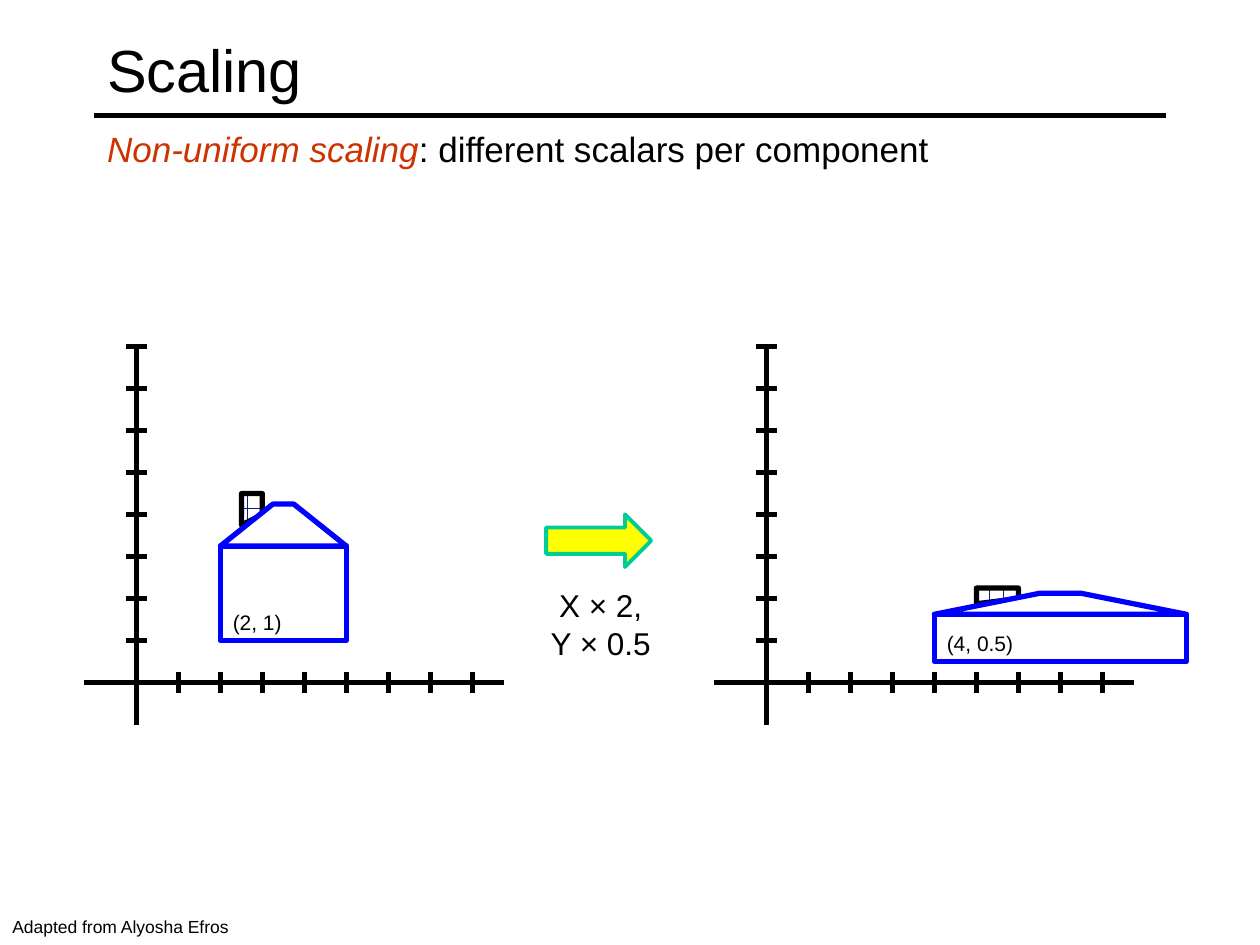
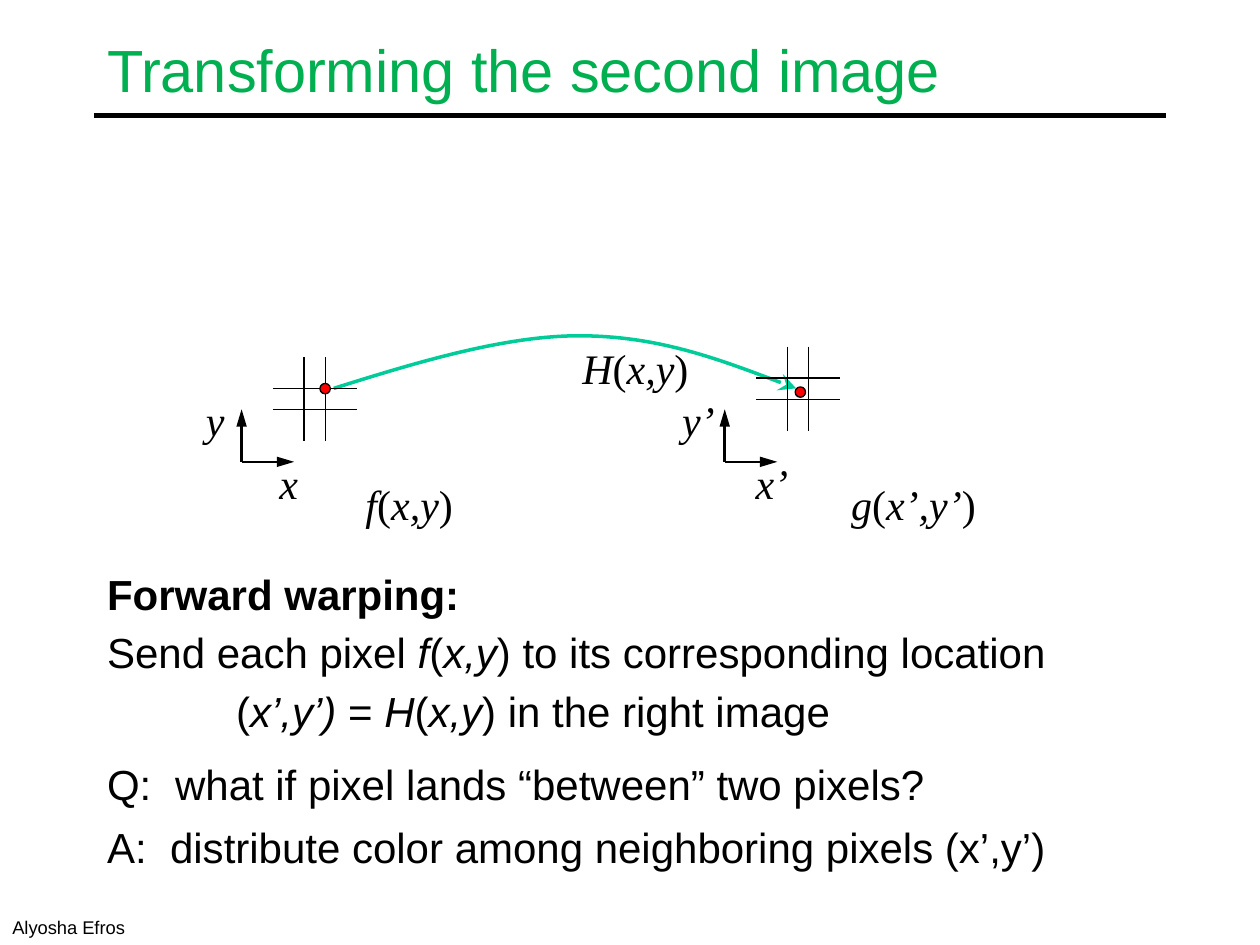
from lxml import etree
from pptx import Presentation
from pptx.dml.color import RGBColor
from pptx.enum import dml, shapes, text
from pptx.oxml import ns
from pptx.util import Cm, Pt

COLORS = {
    "ink": "000000", "paper": "FFFFFF", "term": "CC3300", "green": "00B050",
    "house": "0000FF", "brick": "032389", "arrow": "FFFF00", "teal": "00CC99",
    "pixel": "FF0000",
}
SANS, SERIF = "Arial", "Times New Roman"
UNIT = 2.54 / 3  # one step of the coordinate axes, in cm
CENTER = text.PP_ALIGN.CENTER
MIDDLE = text.MSO_ANCHOR.MIDDLE
AXIS_TIP = {"type": "triangle", "w": "med", "len": "lg"}
CURVE_TIP = {"type": "stealth", "w": "lg", "len": "lg"}


def rgb(name):
    return RGBColor.from_string(COLORS[name])


# ---- Shared drawing helpers; all lengths in cm ----
def style_line(shape, color, width, tip=None):
    shape.line.color.rgb = rgb(color)
    shape.line.width = Pt(width)
    if tip:
        outline = shape.line._get_or_add_ln()
        etree.SubElement(outline, ns.qn("a:tailEnd"), tip)


def draw_line(parts, start, end, width=3, tip=None):
    line = parts.add_connector(
        shapes.MSO_CONNECTOR.STRAIGHT, *(Cm(v) for v in (*start, *end)))
    style_line(line, "ink", width, tip)
    etree.SubElement(line._element.spPr, ns.qn("a:effectLst"))


def draw_shape(parts, kind, box, fill, line, width):
    shape = parts.add_shape(kind, *(Cm(v) for v in box))
    shape.shadow.inherit = False
    shape.fill.solid()
    shape.fill.fore_color.rgb = rgb(fill)
    style_line(shape, line, width)


def draw_outline(parts, points, close=True):
    first, *rest = [(Cm(x), Cm(y)) for x, y in points]
    builder = parts.build_freeform(*first)
    builder.add_line_segments(rest, close=close)
    outline = builder.convert_to_shape()
    outline.shadow.inherit = False
    return outline


def indent(paragraph, left, first):
    props = paragraph._p.get_or_add_pPr()
    props.set("marL", str(Cm(left)))
    props.set("indent", str(Cm(first)))


def write(parts, box, *lines, size=24, font=SANS, color="ink", italic_color=None,
          align=None, anchor=None, wrap=True, hang=0, spacing=None, before=0):
    """Write one paragraph per line; *asterisks* enclose italic words."""
    frame = parts.add_textbox(*(Cm(v) for v in box)).text_frame
    frame.word_wrap = wrap
    frame.vertical_anchor = anchor
    for number, line in enumerate(lines):
        paragraph = frame.add_paragraph() if number else frame.paragraphs[0]
        paragraph.alignment = align
        paragraph.line_spacing = spacing
        if number:
            paragraph.space_before = Pt(before)
        if hang:
            indent(paragraph, hang, -hang)
        for place, words in enumerate(line.split("*")):
            if not words:
                continue
            run = paragraph.add_run()
            run.text = words
            italic = place % 2 == 1
            run.font.name, run.font.size = font, Pt(size)
            run.font.italic = italic
            run.font.color.rgb = rgb(italic_color if italic and italic_color else color)
    return frame


def add_page(deck, title, credit, title_color="ink", credit_size=10):
    parts = deck.slides.add_slide(deck.slide_layouts[6]).shapes
    draw_line(parts, (1.9, 2.33), (23.5, 2.33))
    write(parts, (1.91, 0.22, 21.6, 2.33), title, size=34, color=title_color, anchor=MIDDLE)
    write(parts, (0, 18.34, 8.6, 0.7), credit, size=credit_size)
    return parts


# ---- Slide 1: scaling ----
def add_axes(parts, origin):
    x, y = origin
    tick = UNIT / 4
    draw_line(parts, (x, y - 8 * UNIT), (x, y + UNIT))
    draw_line(parts, (x - 1.25 * UNIT, y), (x + 8.75 * UNIT, y))
    for step in range(1, 9):
        across, up = x + step * UNIT, y - step * UNIT
        draw_line(parts, (across, y - tick), (across, y + tick))
        draw_line(parts, (x - tick, up), (x + tick, up))


def add_house(parts, origin, scale_x, scale_y):
    def at(x, y):
        return origin[0] + x * scale_x * UNIT, origin[1] - y * scale_y * UNIT

    chimney = draw_outline(parts, [at(2.5, 3.75), at(2.5, 4.5), at(3, 4.5), at(3, 4)])
    chimney.fill.patterned()
    chimney.fill.pattern = dml.MSO_PATTERN.HORIZONTAL_BRICK
    chimney.fill.fore_color.rgb = rgb("brick")
    chimney.fill.back_color.rgb = rgb("paper")
    style_line(chimney, "ink", 3)

    left, top = at(2, 3.25)
    right, bottom = at(5, 1)
    draw_shape(parts, shapes.MSO_SHAPE.RECTANGLE,
               (left, top, right - left, bottom - top), "paper", "house", 3)

    roof = draw_outline(parts, [at(2, 3.25), at(3.25, 4.25), at(3.75, 4.25), at(5, 3.25)])
    roof.fill.solid()
    roof.fill.fore_color.rgb = rgb("paper")
    style_line(roof, "house", 3)

    corner = f"({2 * scale_x:g}, {scale_y:g})"
    write(parts, (left, bottom - 0.75, 2.4, 0.77), corner, size=12)


def add_scaling_arrow(parts, box):
    left, top, width, height = box
    draw_shape(parts, shapes.MSO_SHAPE.RIGHT_ARROW, box, "arrow", "teal", 2.25)
    write(parts, (left - 0.26, top + height, width + 0.6, 2.29), "X × 2,", "Y × 0.5",
          size=18, align=CENTER, anchor=MIDDLE, wrap=False)


def scaling_slide(deck):
    parts = add_page(deck, "Scaling", "Adapted from Alyosha Efros")
    write(parts, (1.91, 2.54, 21.6, 14.6),
          "*Non-uniform scaling*: different scalars per component",
          size=20, italic_color="term", hang=0.95, spacing=0.9)
    for origin, scale in (((2.75, 13.76), (1, 1)), ((15.45, 13.76), (2, 0.5))):
        plot = parts.add_group_shape().shapes
        add_axes(plot, origin)
        add_house(plot, origin, *scale)
    add_scaling_arrow(parts, (11.01, 10.37, 2.12, 1.06))


# ---- Slide 2: forward warping ----
def add_image_axes(parts, corner, x_name, y_name, function, function_width):
    x, y = corner
    draw_line(parts, corner, (x, y - 1.06), 1.5, AXIS_TIP)
    draw_line(parts, corner, (x + 1.06, y), 1.5, AXIS_TIP)
    labels = (
        (x_name, (x, y - 0.21, 1.9, 1.27)),
        (y_name, (x - 1.48, y - 1.48, 1.9, 1.27)),
        (function, (x + 1.9, y + 0.21, function_width, 1.27)),
    )
    for label, box in labels:
        write(parts, box, label, font=SERIF, align=CENTER)


def add_pixel_grid(parts, corner, dot):
    x, y = corner
    size = 2 * UNIT
    for offset in (0.63, 1.06):
        draw_line(parts, (x + offset, y), (x + offset, y + size), 0.75)
        draw_line(parts, (x, y + offset), (x + size, y + offset), 0.75)
    draw_shape(parts, shapes.MSO_SHAPE.OVAL, (*dot, 0.21, 0.21), "pixel", "ink", 0.75)


def add_warp_curve(parts, box):
    left, top, width, height = box
    nodes = [(0, 1), (0.18, 0.5), (0.37, 0), (0.53, 0), (0.7, 0), (0.85, 0.5), (1, 1)]
    curve = draw_outline(
        parts, [(left + x * width, top + y * height) for x, y in nodes], close=False)
    curve.fill.background()
    style_line(curve, "teal", 2, CURVE_TIP)
    # Turn each three straight segments into one Bézier segment
    outline = curve._element.find(".//" + ns.qn("a:path"))
    segments = outline.findall(ns.qn("a:lnTo"))
    for start in (0, 3):
        bezier = etree.SubElement(outline, ns.qn("a:cubicBezTo"))
        for segment in segments[start:start + 3]:
            bezier.append(segment[0])
            outline.remove(segment)
    write(parts, (left + 4.49, top, 3.18, 1.27), "*H*(*x,y*)", font=SERIF, align=CENTER)


def add_explanation(parts, left, width):
    method = write(parts, (left, 11.33, width, 3.94), "Forward warping:",
                   "Send each pixel *f*(*x,y*) to its corresponding location",
                   "(*x’,y’) *= *H*(*x,y*) in the right image",
                   hang=0.95, before=4.8)
    method.paragraphs[0].runs[0].font.bold = True
    indent(method.paragraphs[2], 2.6, 0)
    write(parts, (left, 15.16, width, 1.47),
          "Q:\twhat if pixel lands “between” two pixels?", hang=1.37)
    write(parts, (left, 16.43, width, 1.5),
          "A:\tdistribute color among neighboring pixels (x’,y’)", hang=1.27)


def warping_slide(deck):
    parts = add_page(deck, "Transforming the second image", "Alyosha Efros",
                     title_color="green", credit_size=10.5)
    add_warp_curve(parts, (6.73, 6.77, 9.32, 1.06))
    add_pixel_grid(parts, (5.5, 7.2), (6.45, 7.73))
    add_pixel_grid(parts, (15.24, 6.99), (16.03, 7.8))
    add_image_axes(parts, (4.87, 9.31), "*x*", "*y*", "*f*(*x,y*)", 2.96)
    add_image_axes(parts, (14.61, 9.31), "*x’*", "*y’*", "*g*(*x’,y’*)", 3.81)
    add_explanation(parts, 1.91, 21.6)


def main():
    deck = Presentation()
    deck.slide_width, deck.slide_height = Cm(25.4), Cm(19.05)
    scaling_slide(deck)
    warping_slide(deck)
    deck.save("out.pptx")


if __name__ == "__main__":
    main()
